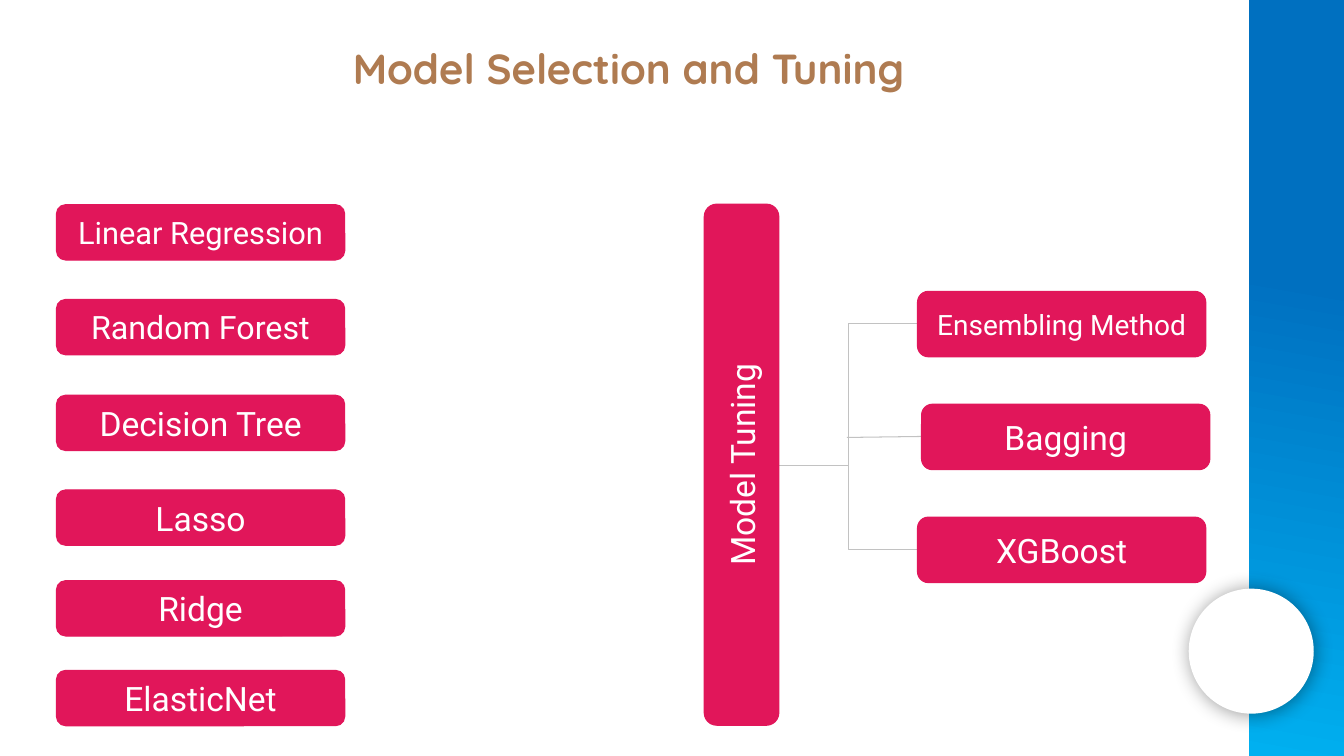
from pptx import Presentation
from pptx import util as u
from pptx.dml import color
from pptx.enum import shapes, text
from pptx.oxml import parse_xml
from pptx.oxml.ns import nsdecls

COLORS = {
    "white": "FFFFFF",
    "box": "E1165A",
    "line": "C2C2C2",
    "title": "AF7B51",
    "band_top": "0070C0",
    "band_bottom": "00B0F0",
    "shadow": "000000",
}


def rgb(name):
    return color.RGBColor.from_string(COLORS[name])


def inches(*lengths):
    return [u.Inches(length) for length in lengths]


class SlideBuilder:
    """Holds the style and the current slide."""
    body_font = "Roboto"
    title_font = "Quicksand"
    line_width = u.Pt(0.75)
    inset = u.Inches(0.1)

    def __init__(self, slide):
        self.slide = slide

    def label(self, shape, words, size, font, color_name, anchor, bold=False):
        frame = shape.text_frame
        frame.text = words
        frame.word_wrap = True
        frame.auto_size = text.MSO_AUTO_SIZE.NONE
        frame.vertical_anchor = anchor
        frame.margin_left = frame.margin_right = self.inset
        frame.margin_top = frame.margin_bottom = self.inset
        paragraph = frame.paragraphs[0]
        paragraph.alignment = text.PP_ALIGN.CENTER
        run_font = paragraph.runs[0].font
        run_font.name, run_font.size, run_font.bold = font, u.Pt(size), bold
        run_font.color.rgb = rgb(color_name)

    def title(self, words, left, top, width, height):
        title = self.slide.shapes.title
        title.left, title.top, title.width, title.height = inches(left, top, width, height)
        self.label(title, words, 30, self.title_font, "title", text.MSO_ANCHOR.TOP, bold=True)

    def plain(self, kind, left, top, width, height):
        shape = self.slide.shapes.add_shape(kind, *inches(left, top, width, height))
        shape.shadow.inherit = False
        shape.line.fill.background()
        return shape

    def band(self, left, top, width, height):
        shape = self.plain(shapes.MSO_SHAPE.RECTANGLE, left, top, width, height)
        shape.fill.gradient()
        shape.fill.gradient_angle = 260
        first, last = shape.fill.gradient_stops
        first.color.rgb, first.position = rgb("band_top"), 0
        last.color.rgb, last.position = rgb("band_bottom"), 1
        # The top colour holds until 37 % of the way
        stops = shape._element.spPr.find(".//{*}gsLst")
        stops.insert(1, parse_xml(
            f'<a:gs {nsdecls("a")} pos="37000"><a:srgbClr val="{COLORS["band_top"]}"/></a:gs>'))

    def disc(self, left, top, diameter):
        shape = self.plain(shapes.MSO_SHAPE.OVAL, left, top, diameter, diameter)
        shape.fill.solid()
        shape.fill.fore_color.rgb = rgb("white")
        effects = shape._element.spPr.find("{*}effectLst")
        effects.append(parse_xml(
            f'<a:outerShdw {nsdecls("a")} blurRad="{u.Pt(14)}" dist="{u.Pt(1)}" dir="2580000">'
            f'<a:srgbClr val="{COLORS["shadow"]}"><a:alpha val="40000"/></a:srgbClr>'
            '</a:outerShdw>'))

    def box(self, words, left, top, width, height, size=24, rotation=0):
        shape = self.plain(shapes.MSO_SHAPE.ROUNDED_RECTANGLE, left, top, width, height)
        shape.adjustments[0] = 0.167
        shape.rotation = rotation
        shape.fill.solid()
        shape.fill.fore_color.rgb = rgb("box")
        shape.line.color.rgb = rgb("box")
        shape.line.width = self.line_width
        self.label(shape, words, size, self.body_font, "white", text.MSO_ANCHOR.MIDDLE)

    def connector(self, kind, start, end):
        line = self.slide.shapes.add_connector(kind, *inches(*start, *end))
        line.line.color.rgb = rgb("line")
        line.line.width = self.line_width
        line._element.spPr.append(parse_xml(f'<a:effectLst {nsdecls("a")}/>'))


presentation = Presentation()
presentation.slide_width, presentation.slide_height = inches(13.33, 7.5)
builder = SlideBuilder(presentation.slides.add_slide(presentation.slide_layouts[5]))

# Side decoration
builder.band(12.39, 0, 0.94, 7.5)
builder.disc(11.79, 5.84, 1.24)

# Title
builder.title("Model Selection and Tuning", 0.93, 0.32, 10.61, 1.48)

# Candidate models
box_width = 2.86
models = [
    ("Linear Regression", 2.03, 22),
    ("Random Forest", 2.97, 23),
    ("Decision Tree", 3.92, 24),
    ("Lasso", 4.86, 24),
    ("Ridge", 5.76, 24),
    ("ElasticNet", 6.65, 24),
]
for name, top, size in models:
    builder.box(name, 0.56, top, box_width, 0.55, size)

# Links from tuning to its methods
for method_middle in (5.45, 3.21):
    builder.connector(shapes.MSO_CONNECTOR.ELBOW, (7.73, 4.62), (9.1, method_middle))
builder.connector(shapes.MSO_CONNECTOR.STRAIGHT, (8.4, 4.34), (9.14, 4.33))

# Tuning and its methods
builder.box("Model Tuning", 4.77, 4.24, 5.17, 0.74, rotation=270)
methods = [("Ensembling Method", 9.1, 20), ("Bagging", 9.14, 24), ("XGBoost", 9.1, 24)]
for row, (name, left, size) in enumerate(methods):
    builder.box(name, left, 2.89 + 1.12 * row, box_width, 0.65, size)

presentation.save("out.pptx")
